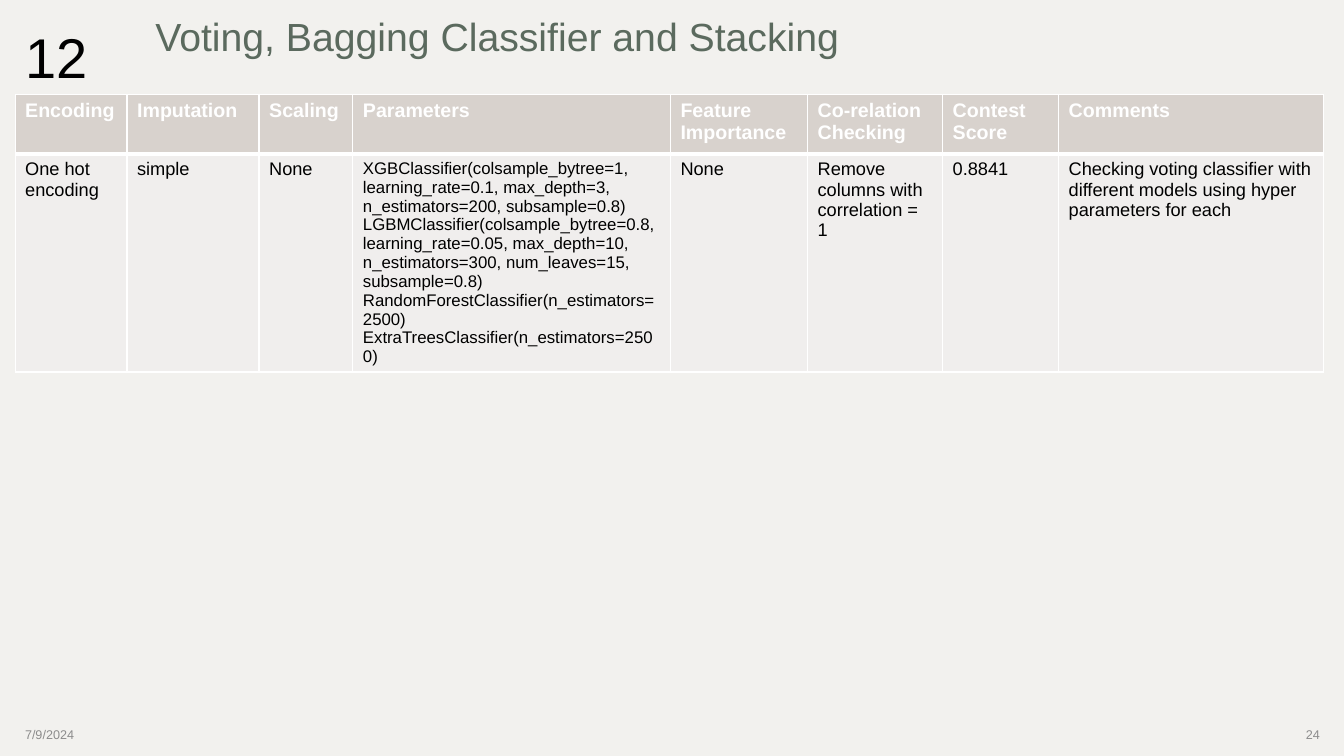
from dataclasses import dataclass

from lxml import etree
from pptx import Presentation
from pptx import util as u
from pptx.dml.color import RGBColor
from pptx.enum import text
from pptx.oxml.ns import qn

# The slide is a grid of 133.3 columns by 75 rows, each a tenth of an inch.
GRID = u.Inches(0.1)
SLIDE_COLUMNS, SLIDE_ROWS = 133.3, 75

FONT = "Arial"
PAPER = RGBColor(0xF2, 0xF1, 0xEE)
HEADER_FILL = RGBColor(0xD8, 0xD2, 0xCD)
BODY_FILL = RGBColor(0xF0, 0xEE, 0xED)
WHITE = RGBColor(0xFF, 0xFF, 0xFF)
BLACK = RGBColor(0x00, 0x00, 0x00)
GREY = RGBColor(0x8C, 0x8C, 0x8C)
GREEN = RGBColor(0x5B, 0x6A, 0x5E)

LEFT, CENTER, RIGHT = text.PP_ALIGN.LEFT, text.PP_ALIGN.CENTER, text.PP_ALIGN.RIGHT
TOP, MIDDLE = text.MSO_ANCHOR.TOP, text.MSO_ANCHOR.MIDDLE


@dataclass(frozen=True)
class Area:
    column: float
    row: float
    columns: float
    rows: float

    def lengths(self) -> tuple[int, ...]:
        return tuple(grid(n) for n in (self.column, self.row, self.columns, self.rows))


@dataclass(frozen=True)
class Style:
    size: float
    color: RGBColor
    bold: bool = False


@dataclass(frozen=True)
class Label:
    words: str
    area: Area
    style: Style
    align: text.PP_ALIGN = LEFT
    anchor: text.MSO_ANCHOR = MIDDLE


@dataclass(frozen=True)
class TableColumn:
    heading: str
    columns: float
    lines: tuple[str, ...]
    size: float = 13


FOOTER = Style(9, GREY)
HEADING = Style(14, WHITE, bold=True)
TITLE = Label("Voting, Bagging Classifier and Stacking",
              Area(-5.5, 0.2, 105.3, 7.2), Style(28, GREEN), CENTER)
TITLE_INDENT = 5.3
LABELS = (
    Label("7/9/2024", Area(1.5, 70.9, 30, 4), FOOTER),
    Label("24", Area(101.9, 70.9, 30, 4), FOOTER, RIGHT),
    Label("12", Area(1.5, 1.7, 10.2, 7.4), Style(40, BLACK), anchor=TOP),
)
TABLE_COLUMN, TABLE_ROW = 1.5, 9.4
ROW_HEIGHTS = (5.9, 21.6)
THIN, THICK = 1, 3
TABLE = (
    TableColumn("Encoding", 11.1, ("One hot encoding",)),
    TableColumn("Imputation", 13.1, ("simple",)),
    TableColumn("Scaling", 9.3, ("None",)),
    TableColumn("Parameters", 31.5, (
        "XGBClassifier(colsample_bytree=1, learning_rate=0.1, max_depth=3, "
        "n_estimators=200, subsample=0.8)",
        "LGBMClassifier(colsample_bytree=0.8, learning_rate=0.05, max_depth=10, "
        "n_estimators=300, num_leaves=15, subsample=0.8)",
        "RandomForestClassifier(n_estimators=2500)",
        "ExtraTreesClassifier(n_estimators=2500)",
    ), 12),
    TableColumn("Feature Importance", 13.6, ("None",)),
    TableColumn("Co-relation Checking", 13.4, ("Remove columns with correlation = 1",)),
    TableColumn("Contest Score", 11.5, ("0.8841",)),
    TableColumn("Comments", 26.3, (
        "Checking voting classifier with different models using hyper parameters for each",
    )),
)


def grid(count: float) -> int:
    return round(count * GRID)


def write(frame, lines: tuple[str, ...], style: Style, align=LEFT) -> None:
    for index, line in enumerate(lines):
        para = frame.add_paragraph() if index else frame.paragraphs[0]
        para.alignment = align
        span = para.add_run()
        span.text = line
        span.font.name = FONT
        span.font.size = u.Pt(style.size)
        span.font.bold = style.bold
        span.font.color.rgb = style.color


def fill_label(box, label: Label) -> None:
    box.left, box.top, box.width, box.height = label.area.lengths()
    frame = box.text_frame
    frame.word_wrap = True
    frame.auto_size = text.MSO_AUTO_SIZE.NONE
    frame.vertical_anchor = label.anchor
    write(frame, (label.words,), label.style, label.align)


def set_borders(cell, top: float, bottom: float) -> None:
    """Draw white cell edges; call before filling, as the schema orders lines first."""
    properties = cell._tc.get_or_add_tcPr()
    for side, width in (("L", THIN), ("R", THIN), ("T", top), ("B", bottom)):
        line = etree.SubElement(properties, qn(f"a:ln{side}"), w=str(u.Pt(width)))
        solid = etree.SubElement(line, qn("a:solidFill"))
        etree.SubElement(solid, qn("a:srgbClr"), val=str(WHITE))


def fill_cell(cell, lines: tuple[str, ...], style: Style, color: RGBColor,
              top: float = THIN, bottom: float = THIN) -> None:
    set_borders(cell, top, bottom)
    cell.fill.solid()
    cell.fill.fore_color.rgb = color
    write(cell.text_frame, lines, style)


def add_results(page) -> None:
    area = Area(TABLE_COLUMN, TABLE_ROW, sum(c.columns for c in TABLE), sum(ROW_HEIGHTS))
    table = page.shapes.add_table(len(ROW_HEIGHTS), len(TABLE), *area.lengths()).table
    for row, height in zip(table.rows, ROW_HEIGHTS):
        row.height = grid(height)
    for index, column in enumerate(TABLE):
        table.columns[index].width = grid(column.columns)
        fill_cell(table.cell(0, index), (column.heading,), HEADING, HEADER_FILL, bottom=THICK)
        fill_cell(table.cell(1, index), column.lines, Style(column.size, BLACK),
                  BODY_FILL, top=THICK)


def main() -> None:
    deck = Presentation()
    deck.slide_width, deck.slide_height = grid(SLIDE_COLUMNS), grid(SLIDE_ROWS)
    page = deck.slides.add_slide(deck.slide_layouts.get_by_name("Title Only"))
    page.background.fill.solid()
    page.background.fill.fore_color.rgb = PAPER

    title = page.shapes.title
    fill_label(title, TITLE)
    title.text_frame.margin_left = grid(TITLE_INDENT)
    title.text_frame.paragraphs[0].line_spacing = 0.9
    add_results(page)
    for label in LABELS:
        fill_label(page.shapes.add_textbox(*label.area.lengths()), label)
    deck.save("out.pptx")


if __name__ == "__main__":
    main()
